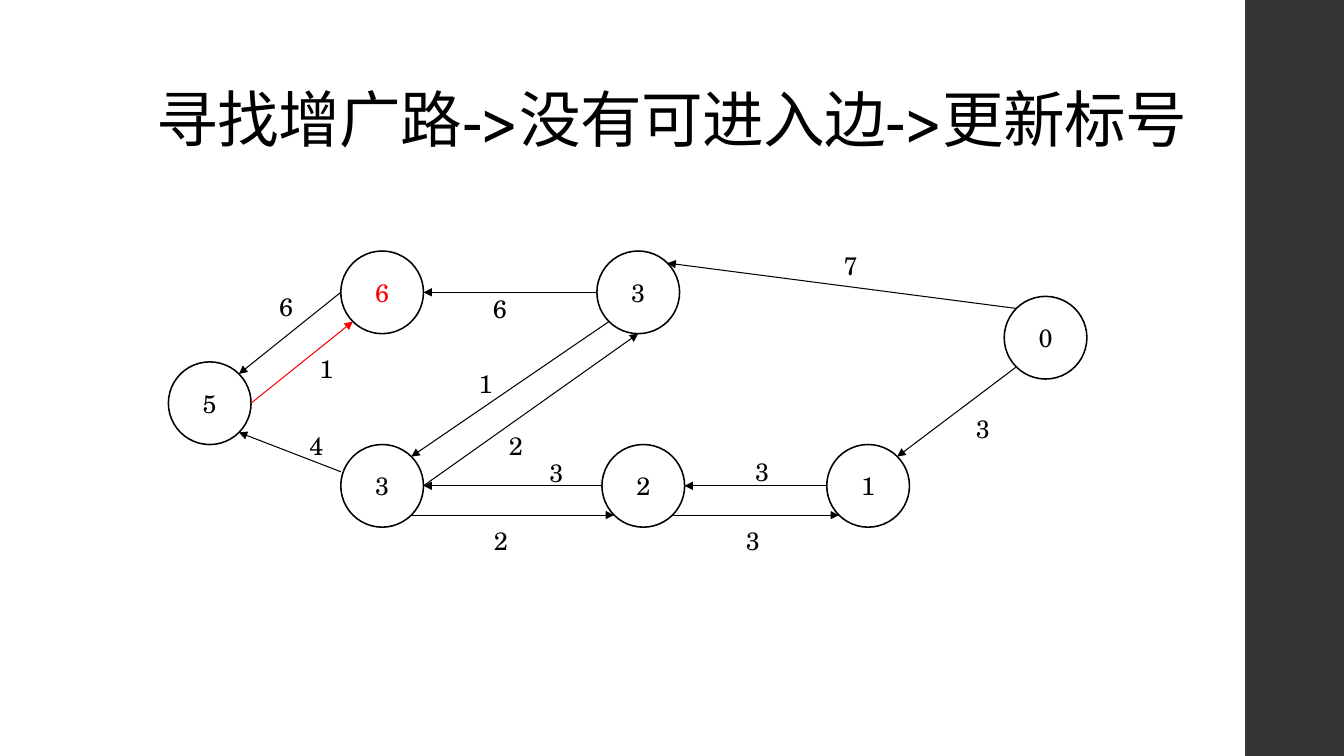
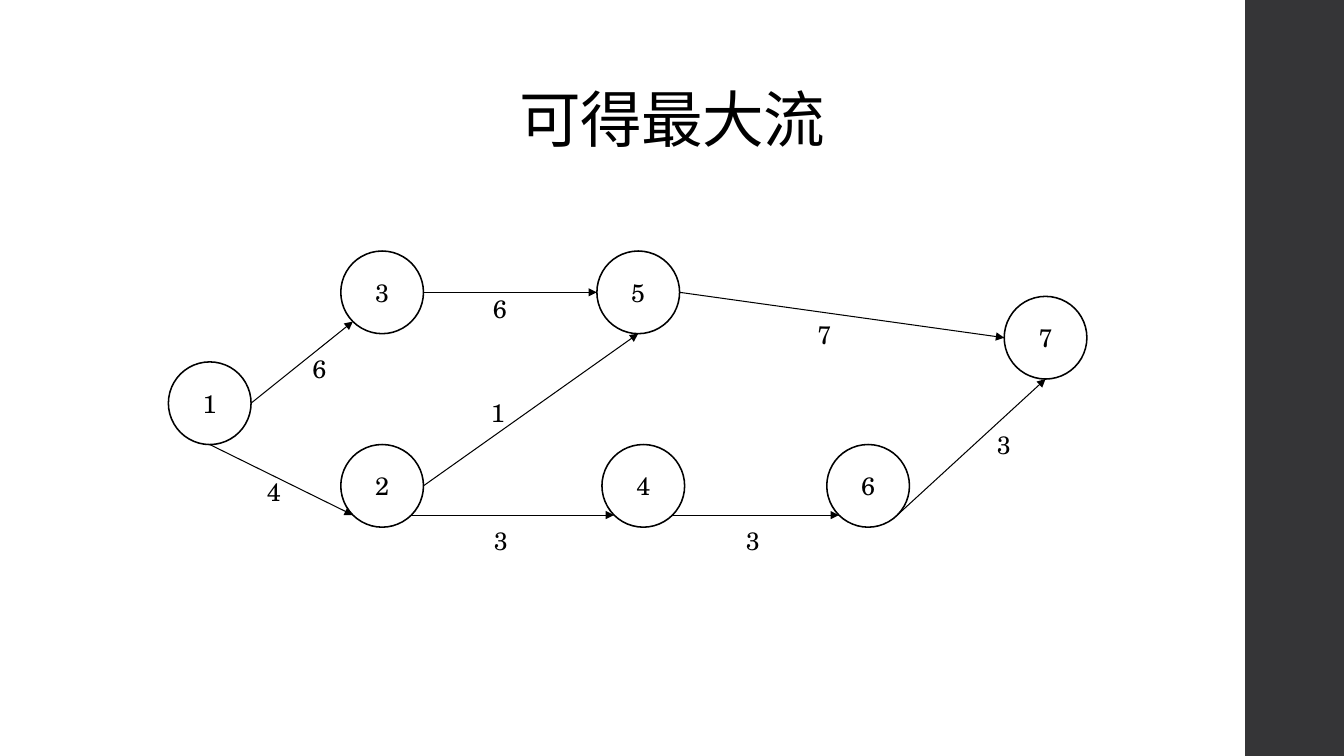
import math

import pptx
import pptx.dml.color
import pptx.enum.shapes
import pptx.enum.text
import pptx.oxml
import pptx.oxml.ns
import pptx.util

EMU_PER_PX = 9144  # 100 px to the inch
SLIDE_WIDTH, SLIDE_HEIGHT = 1333, 750
FONT = "TeX Gyre Schola"
BLACK, RED, BAND = "000000", "FF0000", "353537"
RADIUS = 41

# Centre of each vertex, shared by both graphs
CENTRES = {
    1: (208, 400), 2: (379, 482), 3: (379, 290), 4: (638, 482),
    5: (633, 290), 6: (861, 482), 7: (1037, 335),
}

# Connection sites of an ellipse, counter-clockwise from the top
SITES = ["top", "top left", "left", "bottom left",
         "bottom", "bottom right", "right", "top right"]

# Graph content: (from, site, to, site, colour) and (text, left, top)
LEVELS = {1: "5", 2: "3", 3: "6", 4: "2", 5: "3", 6: "1", 7: "0"}
RESIDUAL_EDGES = [
    (1, "right", 3, "bottom left", RED),
    (2, "right", 5, "bottom", BLACK),
    (2, "bottom right", 4, "bottom left", BLACK),
    (4, "bottom right", 6, "bottom left", BLACK),
    (5, "left", 3, "right", BLACK),
    (3, "left", 1, "top right", BLACK),
    (7, "top left", 5, "top right", BLACK),
    (5, "bottom left", 2, "top right", BLACK),
    (2, (338, 468), 1, "bottom right", BLACK),
    (4, "left", 2, "right", BLACK),
    (7, "bottom left", 6, "top right", BLACK),
    (6, "left", 4, "right", BLACK),
]
RESIDUAL_CAPACITIES = [
    ("6", 479, 286), ("3", 535, 449), ("2", 495, 422), ("2", 480, 516),
    ("3", 730, 516), ("3", 958, 405), ("6", 267, 284), ("7", 827, 243),
    ("1", 465, 360), ("4", 297, 422), ("1", 307, 346), ("3", 739, 448),
]
VERTEX_NUMBERS = {vertex: str(vertex) for vertex in CENTRES}
FLOW_EDGES = [
    (1, "right", 3, "bottom left", BLACK),
    (3, "right", 5, "left", BLACK),
    (1, "bottom", 2, "bottom left", BLACK),
    (2, "right", 5, "bottom", BLACK),
    (2, "bottom right", 4, "bottom left", BLACK),
    (4, "bottom right", 6, "bottom left", BLACK),
    (5, "right", 7, "left", BLACK),
    (6, "bottom right", 7, "bottom", BLACK),
]
FLOWS = [
    ("6", 300, 346), ("6", 479, 286), ("4", 255, 468), ("1", 477, 389),
    ("3", 480, 516), ("3", 730, 516), ("7", 801, 312), ("3", 979, 421),
]


def px(*lengths):
    return [pptx.util.Emu(round(length * EMU_PER_PX)) for length in lengths]


def rgb(colour):
    return pptx.dml.color.RGBColor.from_string(colour)


def write_text(frame, text, size=18, colour=BLACK, align=None, anchor=None,
               wrap=True, autosize=pptx.enum.text.MSO_AUTO_SIZE.NONE,
               line_spacing=None, tracking=None):
    frame.word_wrap = wrap
    frame.auto_size = autosize
    if anchor is not None:
        frame.vertical_anchor = anchor
    paragraph = frame.paragraphs[0]
    paragraph.alignment = align
    paragraph.line_spacing = line_spacing
    run = paragraph.add_run()
    run.text = text
    run.font.name = FONT
    run.font.size = pptx.util.Pt(size)
    run.font.color.rgb = rgb(colour)
    if tracking is not None:
        run.font._element.set("spc", str(round(tracking * 100)))


def add_band(slide):
    """Draw the side band and hand it to the layout, behind everything."""
    band = slide.shapes.add_shape(
        pptx.enum.shapes.MSO_SHAPE.RECTANGLE, *px(1235, 0, 100, SLIDE_HEIGHT))
    band.shadow.inherit = False
    band.fill.solid()
    band.fill.fore_color.rgb = rgb(BAND)
    band.line.fill.background()
    slide.slide_layout.shapes.element.insert(2, band.element)


def add_title(slide, text):
    title = slide.shapes.title
    title.left, title.top, title.width, title.height = px(125, 35, 1083, 125)
    write_text(title.text_frame, text, size=44, line_spacing=0.9, tracking=-0.5,
               align=pptx.enum.text.PP_ALIGN.CENTER,
               anchor=pptx.enum.text.MSO_ANCHOR.BOTTOM)


def add_vertex(slide, vertex, text, colour):
    x, y = CENTRES[vertex]
    circle = slide.shapes.add_shape(
        pptx.enum.shapes.MSO_SHAPE.OVAL,
        *px(x - RADIUS, y - RADIUS, 2 * RADIUS, 2 * RADIUS))
    circle.shadow.inherit = False
    circle.fill.background()
    circle.line.color.rgb = rgb(BLACK)
    circle.line.width = pptx.util.Pt(1.1)
    write_text(circle.text_frame, text, colour=colour,
               align=pptx.enum.text.PP_ALIGN.CENTER,
               anchor=pptx.enum.text.MSO_ANCHOR.MIDDLE)
    return circle


def site_point(vertex, site):
    """A site is a name in SITES, or a point on the rim itself."""
    if site not in SITES:
        return site
    x, y = CENTRES[vertex]
    angle = math.pi / 2 + SITES.index(site) * math.pi / 4
    return x + RADIUS * math.cos(angle), y - RADIUS * math.sin(angle)


def add_edge(slide, circles, start, start_site, end, end_site, colour):
    edge = slide.shapes.add_connector(
        pptx.enum.shapes.MSO_CONNECTOR.STRAIGHT,
        *px(*site_point(start, start_site), *site_point(end, end_site)))
    edge.line.color.rgb = rgb(colour)
    edge.line.width = pptx.util.Pt(0.75)

    # Arrowhead and no shadow
    properties = edge.element.spPr
    head = pptx.oxml.parse_xml(
        f'<a:tailEnd {pptx.oxml.ns.nsdecls("a")} type="triangle"/>')
    properties.find(pptx.oxml.ns.qn("a:ln")).append(head)
    properties.append(pptx.oxml.parse_xml(
        f'<a:effectLst {pptx.oxml.ns.nsdecls("a")}/>'))

    # Glue the ends to the circles
    glue = edge.element.find(".//" + pptx.oxml.ns.qn("p:cNvCxnSpPr"))
    for tag, vertex, site in (("stCxn", start, start_site),
                              ("endCxn", end, end_site)):
        if site in SITES:
            glue.append(pptx.oxml.parse_xml(
                f'<a:{tag} {pptx.oxml.ns.nsdecls("a")} '
                f'id="{circles[vertex].shape_id}" idx="{SITES.index(site)}"/>'))


def add_weight(slide, text, left, top):
    box = slide.shapes.add_textbox(*px(left, top, 34, 40))
    write_text(box.text_frame, text, wrap=False,
               autosize=pptx.enum.text.MSO_AUTO_SIZE.SHAPE_TO_FIT_TEXT)


def add_graph(slide, vertex_texts, edges, weights, highlighted=None):
    circles = {
        vertex: add_vertex(slide, vertex, text,
                           RED if vertex == highlighted else BLACK)
        for vertex, text in vertex_texts.items()
    }
    for edge in edges:
        add_edge(slide, circles, *edge)
    for weight in weights:
        add_weight(slide, *weight)


def main():
    deck = pptx.Presentation()
    deck.slide_width, deck.slide_height = px(SLIDE_WIDTH, SLIDE_HEIGHT)
    title_only = deck.slide_layouts[5]

    # Relabelling step
    relabel = deck.slides.add_slide(title_only)
    add_band(relabel)
    add_title(relabel, "寻找增广路->没有可进入边->更新标号")
    add_graph(relabel, LEVELS, RESIDUAL_EDGES, RESIDUAL_CAPACITIES,
              highlighted=3)

    # Resulting maximum flow
    max_flow = deck.slides.add_slide(title_only)
    add_title(max_flow, "可得最大流")
    add_graph(max_flow, VERTEX_NUMBERS, FLOW_EDGES, FLOWS)

    deck.save("out.pptx")


if __name__ == "__main__":
    main()
